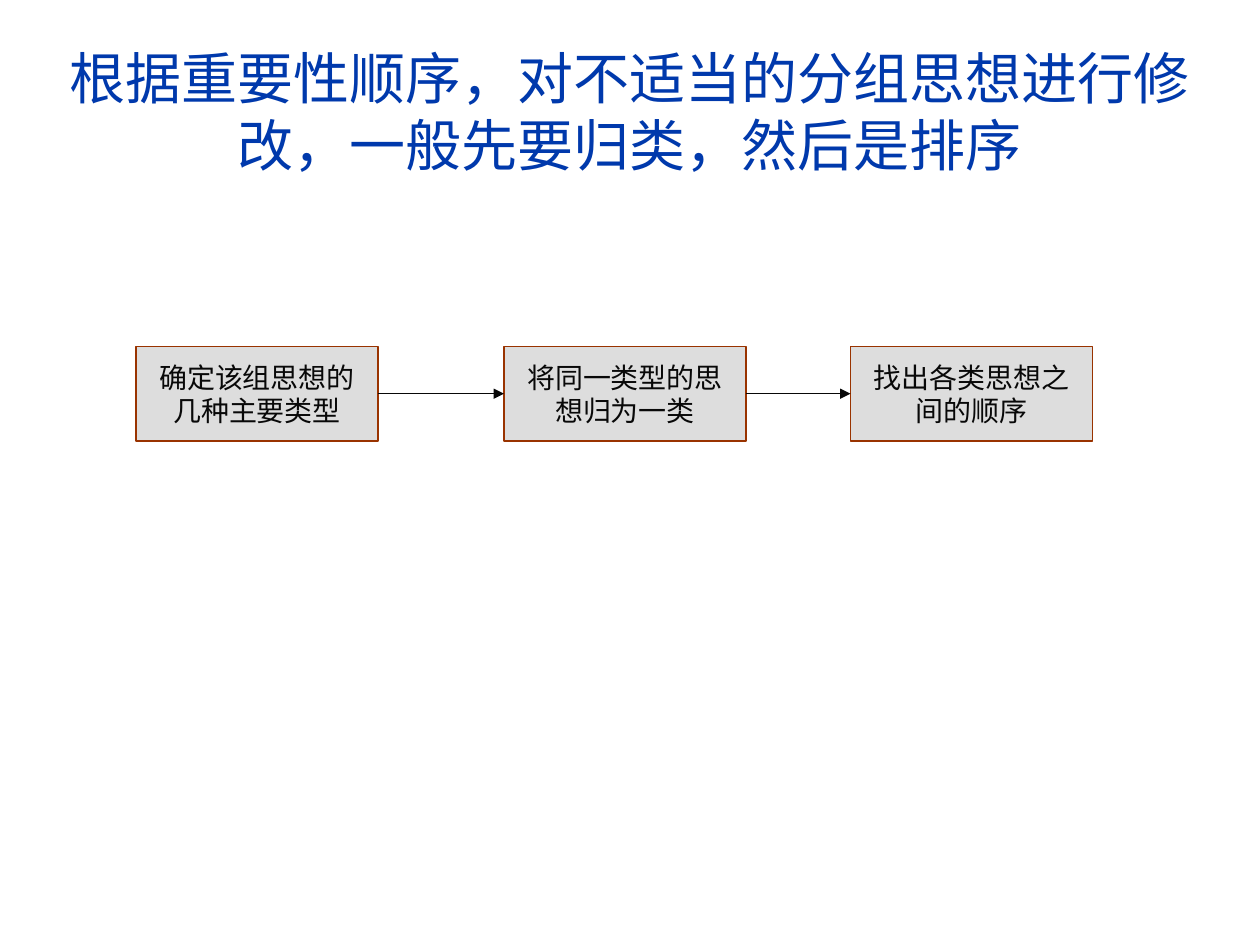
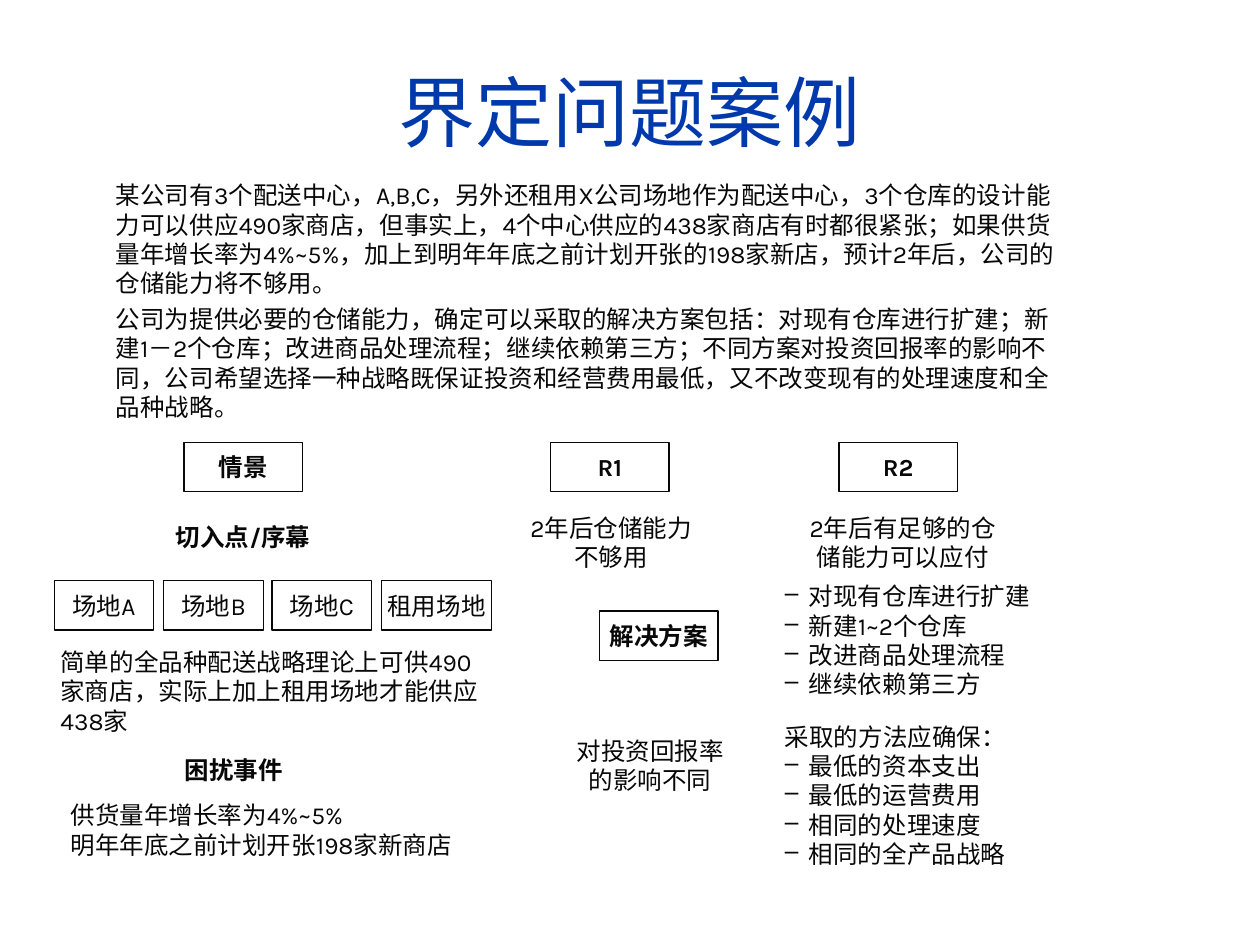
from dataclasses import dataclass
from itertools import pairwise

from lxml import etree
from pptx import Presentation
from pptx.dml.color import RGBColor
from pptx.enum.shapes import MSO_CONNECTOR, MSO_SHAPE
from pptx.enum.text import MSO_ANCHOR, MSO_AUTO_SIZE, PP_ALIGN
from pptx.oxml.ns import qn
from pptx.presentation import Presentation as Deck
from pptx.shapes.autoshape import Shape
from pptx.slide import Slide
from pptx.util import Emu, Pt

CENTER, LEFT = PP_ALIGN.CENTER, PP_ALIGN.LEFT
MIDDLE, TOP = MSO_ANCHOR.MIDDLE, MSO_ANCHOR.TOP
NO_AUTOFIT = MSO_AUTO_SIZE.NONE
RECTANGLE = MSO_SHAPE.RECTANGLE
STRAIGHT = MSO_CONNECTOR.STRAIGHT

EMU_PER_PX = 9144  # 100 px to the inch
TITLE_ONLY = 5
LINE_WIDTH = 0.75
BULLET_INDENT = 19
COLORS = {
    "title": "0039AC",
    "text": "080808",
    "step_fill": "DDDDDD",
    "step_line": "993300",
}


@dataclass(frozen=True)
class Style:
    font: str = "Karla"
    size: int = 14
    bold: bool = False
    align: PP_ALIGN = CENTER
    anchor: MSO_ANCHOR = MIDDLE
    inset_x: int = 5
    inset_y: int = 4
    gap: float = 0  # points before each paragraph after the first
    line: str | None = None
    fill: str | None = None


@dataclass(frozen=True)
class Item:
    left: int
    top: int
    width: int
    height: int
    lines: tuple[str, ...]
    style: Style
    bullets_from: int | None = None  # first bulleted line of a list


STEP = Style("Times New Roman", 16, inset_x=10, inset_y=5,
             line="step_line", fill="step_fill")
INTRO = Style(align=LEFT, anchor=TOP, inset_x=9, gap=3.5)
LABEL = Style(bold=True, line="text")
SITE = Style(inset_x=1, line="text")
HEADING = Style(bold=True)
NOTE = Style()
BODY = Style(align=LEFT)


def px(length: int) -> Emu:
    return Emu(length * EMU_PER_PX)


def color(name: str) -> RGBColor:
    return RGBColor.from_string(COLORS[name])


def add_page(deck: Deck, title: str, size: int) -> Slide:
    page = deck.slides.add_slide(deck.slide_layouts[TITLE_ONLY])
    box = page.shapes.title
    box.left, box.top, box.width, box.height = map(px, (33, 25, 934, 125))
    frame = box.text_frame
    frame.text = title
    frame.word_wrap = True
    frame.auto_size = NO_AUTOFIT
    frame.vertical_anchor = MIDDLE
    para = frame.paragraphs[0]
    para.alignment = CENTER
    para.font.name, para.font.size = "Arial", Pt(size)
    para.font.color.rgb = color("title")
    return page


def set_hanging(para_properties: etree._Element, bulleted: bool) -> None:
    indent = px(BULLET_INDENT)
    para_properties.set("marL", str(indent))
    para_properties.set("indent", str(-indent))
    if bulleted:
        bullet_color = etree.SubElement(para_properties, qn("a:buClr"))
        etree.SubElement(bullet_color, qn("a:srgbClr"), val=COLORS["text"])
        etree.SubElement(para_properties, qn("a:buChar"), char="–")


def add_item(page: Slide, item: Item) -> Shape:
    style = item.style
    place = map(px, (item.left, item.top, item.width, item.height))
    if style.line:
        box = page.shapes.add_shape(RECTANGLE, *place)
        box.shadow.inherit = False
        box.line.color.rgb = color(style.line)
        box.line.width = Pt(LINE_WIDTH)
        if style.fill:
            box.fill.solid()
            box.fill.fore_color.rgb = color(style.fill)
        else:
            box.fill.background()
    else:
        box = page.shapes.add_textbox(*place)

    frame = box.text_frame
    frame.text = "\n".join(item.lines)
    frame.word_wrap = True
    frame.auto_size = NO_AUTOFIT
    frame.vertical_anchor = style.anchor
    frame.margin_left = frame.margin_right = px(style.inset_x)
    frame.margin_top = frame.margin_bottom = px(style.inset_y)
    for index, para in enumerate(frame.paragraphs):
        para.alignment = style.align
        if index and style.gap:
            para.space_before = Pt(style.gap)
        if item.bullets_from is not None:
            set_hanging(para._p.get_or_add_pPr(), index >= item.bullets_from)
        para.font.name, para.font.size = style.font, Pt(style.size)
        para.font.bold = style.bold
        para.font.color.rgb = color("text")
    return box


def add_arrow(page: Slide, start: Shape, end: Shape) -> None:
    arrow = page.shapes.add_connector(STRAIGHT, 0, 0, 0, 0)
    arrow.begin_connect(start, 3)  # right side
    arrow.end_connect(end, 1)  # left side
    arrow.line.color.rgb = color("text")
    arrow.line.width = Pt(LINE_WIDTH)
    properties = arrow.element.spPr
    etree.SubElement(properties.find(qn("a:ln")), qn("a:tailEnd"), type="triangle")
    etree.SubElement(properties, qn("a:effectLst"))


def add_sorting_page(deck: Deck) -> None:
    page = add_page(
        deck, "根据重要性顺序，对不适当的分组思想进行修改，一般先要归类，然后是排序", 32)
    steps = (
        (108, "确定该组思想的几种主要类型"),
        (400, "将同一类型的思想归为一类"),
        (675, "找出各类思想之间的顺序"),
    )
    boxes = [add_item(page, Item(left, 275, 192, 75, (text,), STEP))
             for left, text in steps]
    for start, end in pairwise(boxes):
        add_arrow(page, start, end)


def add_case_page(deck: Deck) -> None:
    page = add_page(deck, "界定问题案例", 44)

    # Case description
    add_item(page, Item(83, 139, 772, 200, (
        "某公司有3个配送中心，A,B,C，另外还租用X公司场地作为配送中心，3个仓库的设计能力"
        "可以供应490家商店，但事实上，4个中心供应的438家商店有时都很紧张；如果供货量年增长率"
        "为4%~5%，加上到明年年底之前计划开张的198家新店，预计2年后，公司的仓储能力将不够用。",
        "公司为提供必要的仓储能力，确定可以采取的解决方案包括：对现有仓库进行扩建；新建1－2个"
        "仓库；改进商品处理流程；继续依赖第三方；不同方案对投资回报率的影响不同，公司希望选择"
        "一种战略既保证投资和经营费用最低，又不改变现有的处理速度和全品种战略。",
    ), INTRO))

    # Framed labels
    labels = ((146, 351, "情景"), (437, 351, "R1"), (666, 351, "R2"),
              (476, 485, "解决方案"))
    for left, top, text in labels:
        add_item(page, Item(left, top, 94, 39, (text,), LABEL))

    # Sites, evenly spaced
    for index, text in enumerate(("场地A", "场地B", "场地C", "租用场地")):
        width = 87 if text == "租用场地" else 79
        add_item(page, Item(43 + round(index * 260 / 3), 461, width, 39, (text,), SITE))

    # Headings, notes and lists
    items = (
        Item(130, 414, 126, 24, ("切入点/序幕",), HEADING),
        Item(138, 595, 95, 32, ("困扰事件",), HEADING),
        Item(414, 399, 142, 63, ("2年后仓储能力不够用",), NOTE),
        Item(634, 399, 165, 63, ("2年后有足够的仓储能力可以应付",), NOTE),
        Item(445, 580, 142, 55, ("对投资回报率的影响不同",), NOTE),
        Item(43, 509, 347, 79, (
            "简单的全品种配送战略理论上可供490家商店，实际上加上租用场地才能供应438家",), BODY),
        Item(51, 627, 347, 63, (
            "供货量年增长率为4%~5%", "明年年底之前计划开张198家新商店"), BODY),
        Item(618, 461, 244, 94, (
            "对现有仓库进行扩建", "新建1~2个仓库", "改进商品处理流程", "继续依赖第三方"),
            BODY, bullets_from=0),
        Item(618, 572, 220, 118, (
            "采取的方法应确保：", "最低的资本支出", "最低的运营费用", "相同的处理速度",
            "相同的全产品战略"), BODY, bullets_from=1),
    )
    for item in items:
        add_item(page, item)


def main() -> None:
    deck = Presentation()
    deck.slide_width, deck.slide_height = px(1000), px(750)
    add_sorting_page(deck)
    add_case_page(deck)
    deck.save("out.pptx")


if __name__ == "__main__":
    main()
